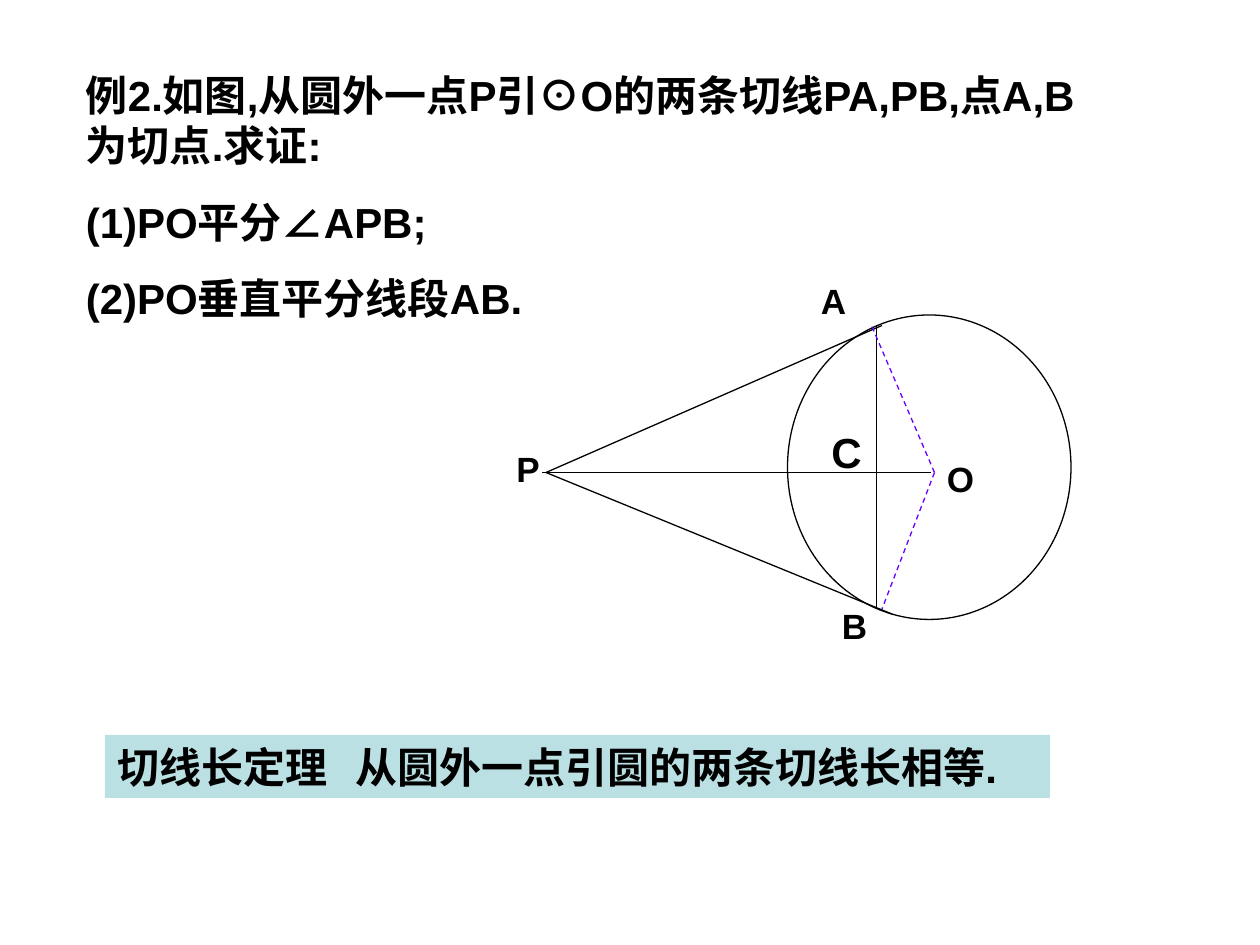
from dataclasses import dataclass

from lxml import etree
from pptx import Presentation
from pptx.dml.color import RGBColor
from pptx.enum.dml import MSO_LINE
from pptx.enum.shapes import MSO_CONNECTOR, MSO_SHAPE
from pptx.enum.text import MSO_ANCHOR, MSO_AUTO_SIZE, PP_ALIGN
from pptx.oxml.ns import qn
from pptx.util import Pt

DASH = MSO_LINE.DASH
STRAIGHT = MSO_CONNECTOR.STRAIGHT
OVAL = MSO_SHAPE.OVAL
RECTANGLE = MSO_SHAPE.RECTANGLE
TOP = MSO_ANCHOR.TOP
GROW = MSO_AUTO_SIZE.SHAPE_TO_FIT_TEXT
LEFT = PP_ALIGN.LEFT


@dataclass(frozen=True)
class Theme:
    font: str = "Arial"
    ink: RGBColor = RGBColor(0x00, 0x00, 0x00)
    radius: RGBColor = RGBColor(0x66, 0x00, 0xFF)
    banner: RGBColor = RGBColor(0xBB, 0xE0, 0xE3)
    body_size: int = 24
    label_size: int = 20
    line_width: float = 0.75
    paragraph_gap: int = 15


class GeometrySlide:
    def __init__(self, slide, theme):
        self.shapes = slide.shapes
        self.theme = theme

    def fill_frame(self, frame, lines, size, tab=None):
        frame.word_wrap = True
        frame.auto_size = GROW
        frame.vertical_anchor = TOP
        frame.text = "\n".join(lines)
        for index, paragraph in enumerate(frame.paragraphs):
            if tab:
                stops = etree.SubElement(paragraph._p.get_or_add_pPr(), qn("a:tabLst"))
                etree.SubElement(stops, qn("a:tab"), pos=str(Pt(tab)), algn="l")
            paragraph.alignment = LEFT
            if index:
                paragraph.space_before = Pt(self.theme.paragraph_gap)
            for run in paragraph.runs:
                run.font.name = self.theme.font
                run.font.size = Pt(size)
                run.font.bold = True
                run.font.color.rgb = self.theme.ink

    def text(self, box, lines, size):
        textbox = self.shapes.add_textbox(*map(Pt, box))
        self.fill_frame(textbox.text_frame, lines, size)

    def circle(self, box):
        circle = self.shapes.add_shape(OVAL, *map(Pt, box))
        circle.shadow.inherit = False
        circle.fill.background()
        circle.line.color.rgb = self.theme.ink
        circle.line.width = Pt(self.theme.line_width)

    def segment(self, start, end, color=None, dash=None):
        segment = self.shapes.add_connector(STRAIGHT, *map(Pt, start + end))
        segment.line.color.rgb = color or self.theme.ink
        segment.line.width = Pt(self.theme.line_width)
        if dash:
            segment.line.dash_style = dash
        etree.SubElement(segment._element.spPr, qn("a:effectLst"))

    def banner(self, box, line, tab):
        banner = self.shapes.add_shape(RECTANGLE, *map(Pt, box))
        banner.shadow.inherit = False
        banner.fill.solid()
        banner.fill.fore_color.rgb = self.theme.banner
        banner.line.fill.background()
        self.fill_frame(banner.text_frame, [line], self.theme.body_size, tab)


def main():
    presentation = Presentation()
    presentation.slide_width = Pt(720)
    presentation.slide_height = Pt(540)
    theme = Theme()
    blank_layout = presentation.slide_layouts[6]
    page = GeometrySlide(presentation.slides.add_slide(blank_layout), theme)

    problem = [
        "例2.如图,从圆外一点P引⊙O的两条切线PA,PB,点A,B为切点.求证:",
        "(1)PO平分∠APB;",
        "(2)PO垂直平分线段AB.",
    ]
    page.text((42, 36, 594, 152.6), problem, theme.body_size)

    page.circle((450, 180, 162, 174))
    point_p = (312, 270)
    center = (534, 270)
    page.segment((532, 270), (310, 270))
    for tangent_end in ((504, 186), (510, 351)):
        page.segment(point_p, tangent_end)
    page.segment((501, 186), (501, 348))
    for radius_end in ((498, 186), (504, 348)):
        page.segment(center, radius_end, theme.radius, DASH)

    labels = [
        ("P", 288, 252, 48),
        ("A", 462, 156, 36),
        ("B", 474, 342, 36),
        ("O", 534, 258, 42),
    ]
    for name, left, top, width in labels:
        page.text((left, top, width, 31.7), [name], theme.label_size)

    theorem = "切线长定理\t从圆外一点引圆的两条切线长相等."
    page.banner((60, 420, 540, 36), theorem, 136)
    page.text((468, 240, 42, 36), ["C"], theme.body_size)

    presentation.save("out.pptx")


if __name__ == "__main__":
    main()
